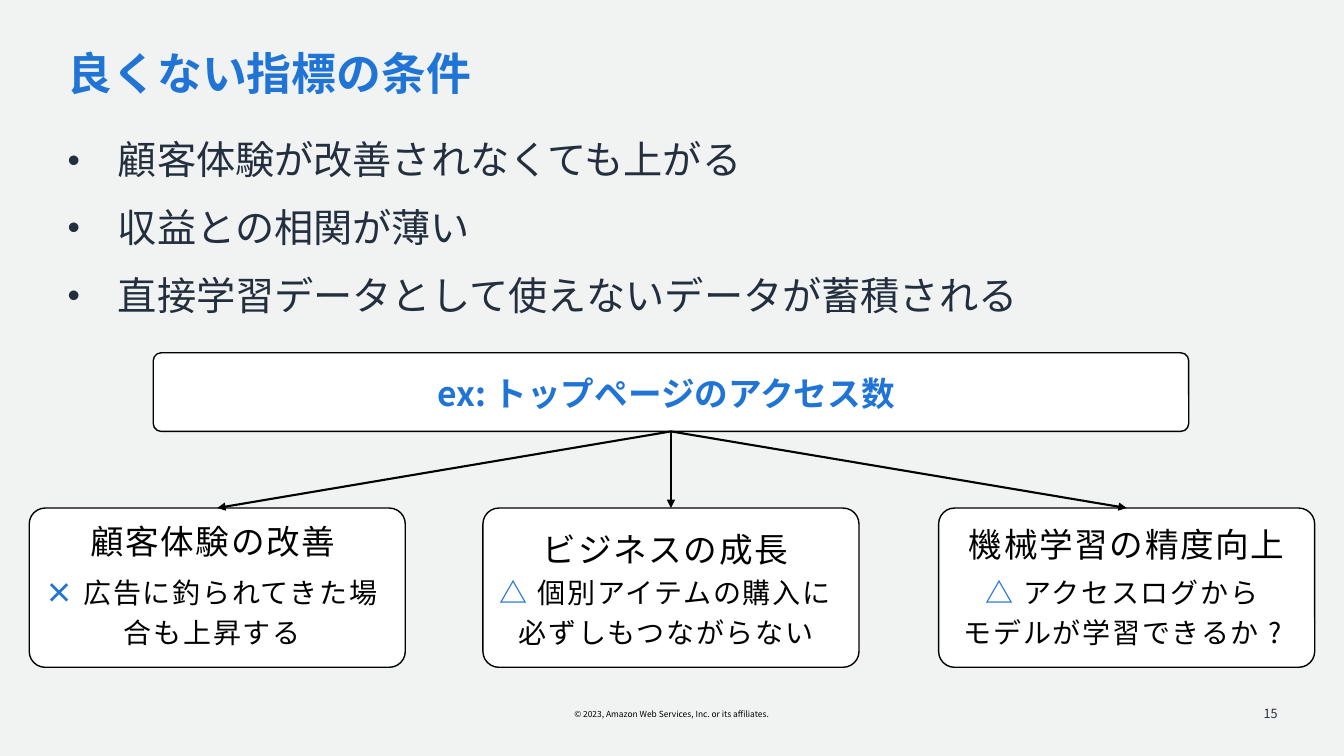
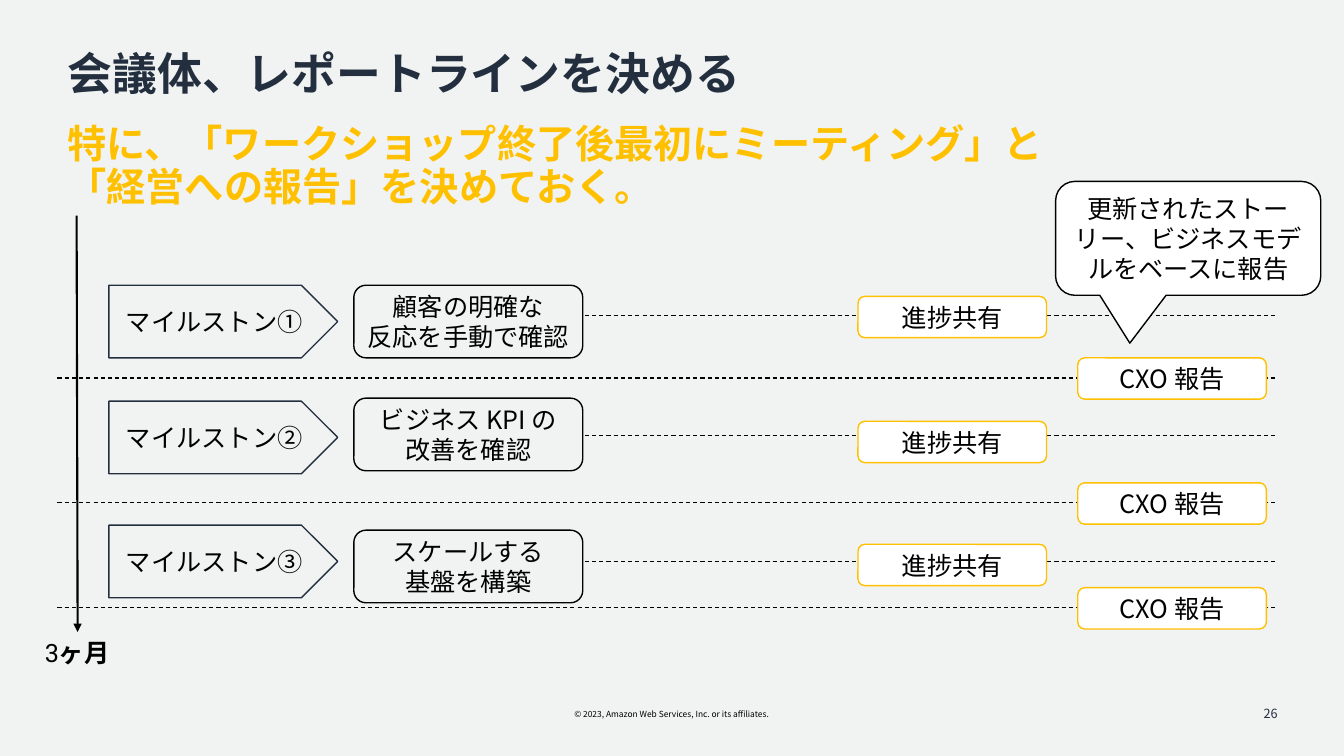
from lxml.etree import SubElement
from pptx import Presentation
from pptx.dml.color import RGBColor
from pptx.enum.dml import MSO_LINE
from pptx.enum.shapes import MSO_CONNECTOR, MSO_SHAPE
from pptx.enum.text import MSO_ANCHOR, PP_ALIGN
from pptx.oxml.ns import qn
from pptx.util import Inches, Pt

PAPER = RGBColor(0xF1, 0xF3, 0xF3)
NAVY = RGBColor(0x23, 0x2F, 0x3E)
BLUE = RGBColor(0x20, 0x74, 0xD5)
GOLD = RGBColor(0xFF, 0xC0, 0x00)
BLACK = RGBColor(0, 0, 0)
WHITE = RGBColor(0xFF, 0xFF, 0xFF)
FACE = "Noto Sans CJK JP"
LEFT, CENTER, RIGHT = PP_ALIGN.LEFT, PP_ALIGN.CENTER, PP_ALIGN.RIGHT


def set_font(para, size, color, bold=False, space=0):
    font = para.font
    font.name = FACE
    font.size = Pt(size)
    font.bold = bold
    font.color.rgb = color
    props = para._p.pPr.find(qn("a:defRPr"))
    SubElement(props, qn("a:ea")).set("typeface", FACE)
    if space:
        props.set("spc", str(round(space * 100)))


def add_runs(para, text):
    for i, part in enumerate(text.split("\n")):
        if i:
            para.add_line_break()
        para.add_run().text = part


def set_pad(frame, left, right):
    frame.margin_left, frame.margin_right = Inches(left), Inches(right)
    frame.margin_top = frame.margin_bottom = Inches(0.05)


def add_text(slide, at, text, size, color, bold=False, align=LEFT, pad=(0, 0),
             lines=1.0, space=0, wrap=True, anchor=MSO_ANCHOR.TOP):
    frame = slide.shapes.add_textbox(*map(Inches, at)).text_frame
    frame.word_wrap = wrap
    frame.vertical_anchor = anchor
    set_pad(frame, *pad)
    para = frame.paragraphs[0]
    add_runs(para, text)
    para.alignment = align
    para.line_spacing = lines
    set_font(para, size, color, bold, space)
    return para


def add_list(slide, at, items):
    frame = slide.shapes.add_textbox(*map(Inches, at)).text_frame
    frame.word_wrap = True
    set_pad(frame, 0, 0)
    for i, item in enumerate(items):
        para = frame.add_paragraph() if i else frame.paragraphs[0]
        para.text = item
        props = para._p.get_or_add_pPr()
        props.set("marL", str(Inches(0.5)))
        props.set("indent", str(Inches(-0.5)))
        SubElement(props, qn("a:buSzPct")).set("val", "90000")
        SubElement(props, qn("a:buFont")).set("typeface", "Arial")
        SubElement(props, qn("a:buChar")).set("char", "•")
        para.line_spacing = 0.9
        para.space_after = Pt(18)
        set_font(para, 28, NAVY)


def add_box(slide, kind, at, line=BLACK, fill=None, text="", adjust=()):
    box = slide.shapes.add_shape(kind, *map(Inches, at))
    box.shadow.inherit = False
    for i, value in enumerate(adjust):
        box.adjustments[i] = value
    if fill is None:
        box.fill.background()
    else:
        box.fill.solid()
        box.fill.fore_color.rgb = fill
    box.line.color.rgb = line
    box.line.width = Pt(1)
    if text:
        frame = box.text_frame
        frame.word_wrap = True
        frame.vertical_anchor = MSO_ANCHOR.MIDDLE
        set_pad(frame, 0.05, 0.05)
        para = frame.paragraphs[0]
        add_runs(para, text)
        para.alignment = CENTER
        set_font(para, 18, BLACK)
    return box


def add_line(slide, start=(0, 0), end=(0, 0), arrow=False):
    line = slide.shapes.add_connector(
        MSO_CONNECTOR.STRAIGHT, *map(Inches, (*start, *end)))
    line.line.color.rgb = BLACK
    line.line.width = Pt(1.5 if arrow else 0.75)
    if arrow:
        SubElement(line.line._get_or_add_ln(), qn("a:tailEnd")).set("type", "triangle")
    else:
        line.line.dash_style = MSO_LINE.DASH
    SubElement(line._element.spPr, qn("a:effectLst"))
    return line


def new_slide(deck, title, color, number):
    slide = deck.slides.add_slide(deck.slide_layouts[6])
    add_text(slide, (5.49, 6.99, 2.34, 0.2),
             "© 2023, Amazon Web Services, Inc. or its affiliates.",
             6, BLACK, align=CENTER, pad=(0.1, 0.1), wrap=False)
    add_text(slide, (0.67, 0.46, 11.98, 0.6), title, 32, color, True, lines=0.9)
    add_text(slide, (9.77, 6.88, 3, 0.4), number, 9, NAVY, align=RIGHT,
             pad=(0.1, 0.1), anchor=MSO_ANCHOR.MIDDLE)
    return slide


def add_card(slide, left, head, mark, note):
    title, *head_at = head
    body, *note_at = note
    card = add_box(slide, MSO_SHAPE.ROUNDED_RECTANGLE, (left, 5.04, 3.73, 1.58),
                   fill=WHITE, adjust=[0.1])
    x, y, wide = head_at
    style = dict(align=CENTER, pad=(0, 0.1), lines=1.2, space=1.2)
    add_text(slide, (x, y, wide, 0.53), title, 24, BLACK, **style)
    x, wide = note_at
    para = add_text(slide, (x, 5.59, wide, 0.85), mark + " ", 20, BLACK, **style)
    para.runs[0].font.color.rgb = BLUE
    para.runs[0].font.bold = True
    add_runs(para, body)
    return card


def draw_metric(deck):
    slide = new_slide(deck, "良くない指標の条件", BLUE, "15")
    add_list(slide, (0.67, 1.35, 12, 1.89), [
        "顧客体験が改善されなくても上がる",
        "収益との相関が薄い",
        "直接学習データとして使えないデータが蓄積される",
    ])
    root = add_box(slide, MSO_SHAPE.ROUNDED_RECTANGLE, (1.52, 3.5, 10.27, 0.78),
                   fill=WHITE, adjust=[0.1])
    add_text(slide, (1.42, 3.65, 10.37, 0.5), "ex: トップページのアクセス数",
             24, BLUE, True, CENTER, (0.1, 0.1))
    cards = [
        (0.29, ("顧客体験の改善", 0.74, 5.04, 2.84), "×",
         ("広告に釣られてきた場合も上昇する", 0.45, 3.41)),
        (4.79, ("ビジネスの成長", 5.15, 5.12, 3), "△",
         ("個別アイテムの購入に必ずしもつながらない", 4.95, 3.41)),
        (9.31, ("機械学習の精度向上", 9.48, 5.07, 3.49), "△",
         ("アクセスログから\nモデルが学習できるか ?", 9.34, 3.69)),
    ]
    for data in cards:
        card = add_card(slide, *data)
        link = add_line(slide, arrow=True)
        link.begin_connect(root, 2)
        link.end_connect(card, 0)


def draw_plan(deck):
    slide = new_slide(deck, "会議体、レポートラインを決める", NAVY, "26")
    add_text(slide, (0.67, 1.19, 12, 0.96),
             "特に、「ワークショップ終了後最初にミーティング」と\n「経営への報告」を決めておく。",
             28, GOLD, True, lines=0.9)
    add_line(slide, (0.76, 2.14), (0.77, 6.27), arrow=True)
    term = add_text(slide, (0.15, 6.27, 1.23, 0.4), "3", 18, BLACK, align=CENTER)
    term.runs[0].font.name = "Roboto"
    unit = term.add_run()
    unit.text = "ヶ月"
    unit.font.bold = True

    rows = [
        ("マイルストン①", 2.83, "顧客の明確な\n反応を手動で確認", 2.83, 3.13, 2.94, 3.75),
        ("マイルストン②", 3.98, "ビジネス KPI の\n改善を確認", 3.95, 4.32, 4.18, 4.99),
        ("マイルストン③", 5.21, "スケールする\n基盤を構築", 5.26, 5.57, 5.4, 6.03),
    ]
    for name, top, goal, goal_y, mid, share, end in rows:
        add_line(slide, (0.57, end), (12.67, end))
        add_line(slide, (5.8, mid), (12.67, mid))
        add_box(slide, MSO_SHAPE.PENTAGON, (1.08, top, 2.27, 0.72), NAVY, text=name)
        add_box(slide, MSO_SHAPE.ROUNDED_RECTANGLE, (3.51, goal_y, 2.27, 0.72), text=goal)
        for x, y, label in [(8.51, share, "進捗共有"), (10.69, end - 0.2, "CXO 報告")]:
            add_box(slide, MSO_SHAPE.ROUNDED_RECTANGLE, (x, y, 1.87, 0.41),
                    GOLD, WHITE, label)
    add_box(slide, MSO_SHAPE.ROUNDED_RECTANGULAR_CALLOUT, (10.47, 1.8, 2.63, 1.13),
            fill=WHITE, text="更新されたストーリー、ビジネスモデルをベースに報告",
            adjust=[-0.22, 0.92, 0.17])


def main():
    deck = Presentation()
    deck.slide_width, deck.slide_height = Inches(13.33), Inches(7.5)
    fill = deck.slide_master.background.fill
    fill.solid()
    fill.fore_color.rgb = PAPER
    draw_metric(deck)
    draw_plan(deck)
    deck.save("out.pptx")


if __name__ == "__main__":
    main()
